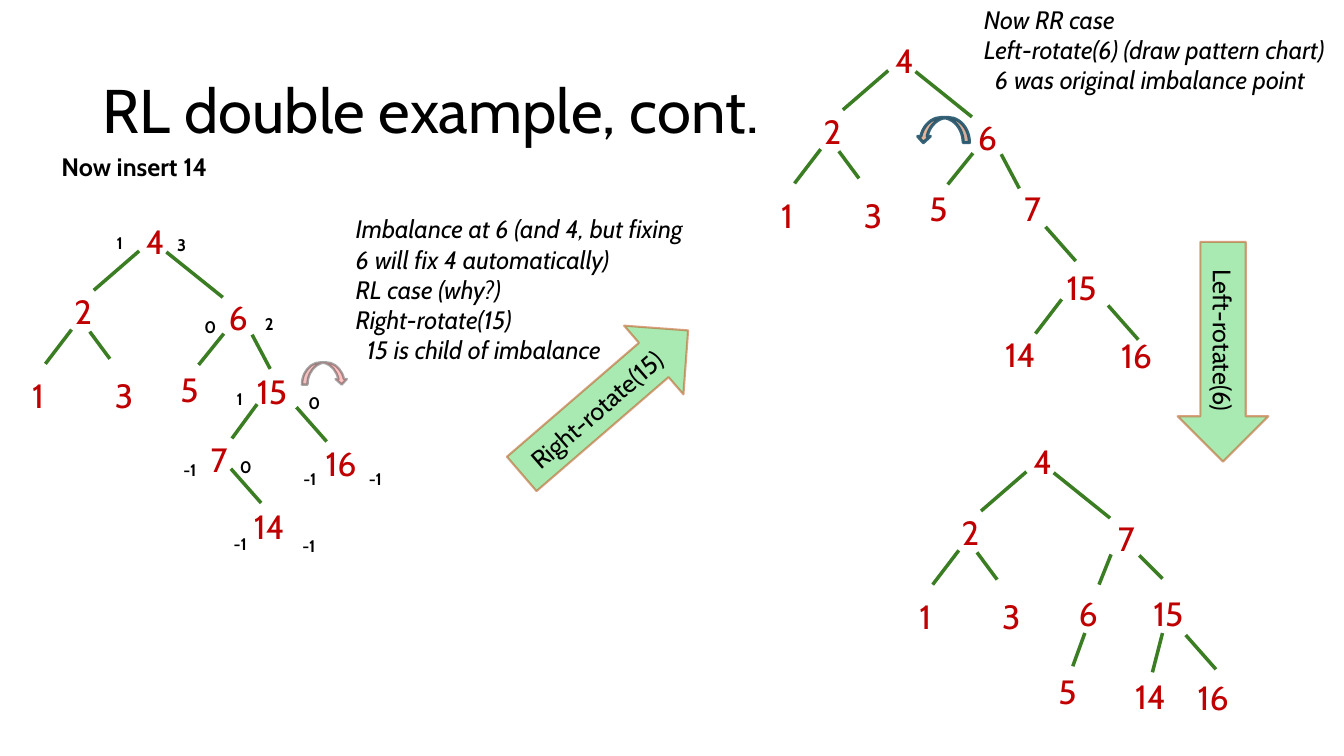
from dataclasses import dataclass

from lxml.etree import SubElement
from pptx import Presentation
from pptx.dml.color import RGBColor
from pptx.enum.shapes import MSO_CONNECTOR, MSO_SHAPE
from pptx.enum.text import MSO_ANCHOR, PP_ALIGN
from pptx.oxml.ns import qn
from pptx.util import Inches, Pt


@dataclass(frozen=True)
class Theme:
    font: str = "Cabin"
    text: str = "000000"
    node: str = "C00000"
    edge: str = "3B7D23"
    step_fill: str = "47D45A"
    step_line: str = "C04F15"
    right_turn: str = "FF0000"
    left_turn: str = "C04F15"
    left_turn_line: str = "104862"
    title_size: int = 44
    node_size: int = 24
    body_size: int = 18
    balance_size: int = 12


THEME = Theme()

TOP_NODES = [("4", 0, 0), ("2", -0.71, 0.7), ("1", -1.13, 1.53), ("3", -0.31, 1.53)]
TOP_EDGES = [
    (0.03, 0.35, -0.42, 0.74), (0.86, 0.81, 0.3, 0.36),
    (-0.64, 1.13, -0.9, 1.47), (-0.46, 1.15, -0.26, 1.42),
]
SIX_NODES = [("6", 0.82, 0.76), ("5", 0.34, 1.47)]
SIX_EDGES = [(0.87, 1.17, 0.62, 1.48), (1.15, 1.18, 1.33, 1.52)]

INSERTED_NODES = TOP_NODES + SIX_NODES + [
    ("15", 1.1, 1.49), ("7", 0.64, 2.17), ("16", 1.78, 2.2), ("14", 1.07, 2.83),
]
INSERTED_EDGES = TOP_EDGES + SIX_EDGES + [
    (1.2, 1.87, 0.95, 2.21), (1.59, 1.9, 1.89, 2.24), (0.94, 2.51, 1.24, 2.85),
]
RIGHT_ROTATED_NODES = TOP_NODES + SIX_NODES + [
    ("7", 1.28, 1.47), ("15", 1.7, 2.25), ("14", 1.09, 2.91), ("16", 2.24, 2.92),
]
RIGHT_ROTATED_EDGES = TOP_EDGES + SIX_EDGES + [
    (1.59, 1.9, 1.89, 2.24), (1.75, 2.62, 1.49, 2.96), (2.21, 2.68, 2.51, 3.02),
]
BALANCED_NODES = TOP_NODES + [
    ("7", 0.84, 0.76), ("6", 0.45, 1.5), ("15", 1.19, 1.5),
    ("5", 0.25, 2.28), ("14", 1.01, 2.33), ("16", 1.63, 2.34),
]
BALANCED_EDGES = TOP_EDGES + [
    (0.87, 1.17, 0.75, 1.47), (1.15, 1.18, 1.38, 1.41), (0.61, 1.95, 0.49, 2.28),
    (1.38, 1.95, 1.28, 2.34), (1.61, 1.97, 1.91, 2.31),
]
BALANCE_FACTORS = [
    ("1", 1.06, 2.26), ("3", 1.66, 2.28), ("0", 1.93, 3.09), ("2", 2.53, 3.06),
    ("1", 2.25, 3.81), ("0", 2.96, 3.85), ("-1", 1.72, 4.51), ("0", 2.28, 4.48),
    ("-1", 2.91, 4.6), ("-1", 3.56, 4.6), ("-1", 2.22, 5.25), ("-1", 2.9, 5.27),
]


def add_span(para, text, size, color=THEME.text, bold=False, italic=False):
    span = para.add_run()
    span.text = text
    span.font.name = THEME.font
    span.font.size = Pt(size)
    span.font.bold = bold
    span.font.italic = italic
    span.font.color.rgb = RGBColor.from_string(color)


def add_box(page, left, top, width, height):
    box = page.shapes.add_textbox(Inches(left), Inches(top), Inches(width), Inches(height))
    box.text_frame.word_wrap = True
    return box.text_frame


def add_label(page, text, left, top, width, height, size, **style):
    frame = add_box(page, left, top, width, height)
    add_span(frame.paragraphs[0], text, size, **style)
    return frame


def add_note(page, lines, left, top, width, height):
    frame = add_box(page, left, top, width, height)
    for index, line in enumerate(lines):
        para = frame.add_paragraph() if index else frame.paragraphs[0]
        if index == len(lines) - 1:
            properties = para._p.get_or_add_pPr()
            properties.set("marL", str(Inches(0.11)))
            properties.set("indent", "0")
        add_span(para, line, THEME.body_size, italic=True)


def add_edge(page, start_x, start_y, end_x, end_y):
    edge = page.shapes.add_connector(
        MSO_CONNECTOR.STRAIGHT, Inches(start_x), Inches(start_y), Inches(end_x), Inches(end_y))
    edge.line.color.rgb = RGBColor.from_string(THEME.edge)
    edge.line.width = Pt(2.5)
    SubElement(edge._element.spPr, qn("a:effectLst"))


def add_tree(page, root_left, root_top, nodes, edges):
    for start_x, start_y, end_x, end_y in edges:
        add_edge(page, root_left + start_x, root_top + start_y,
                 root_left + end_x, root_top + end_y)
    for key, left, top in nodes:
        add_label(page, key, root_left + left, root_top + top,
                  0.65 if len(key) > 1 else 0.4, 0.46, THEME.node_size, color=THEME.node)


def set_paint(fill, color, opacity):
    fill.solid()
    fill.fore_color.rgb = RGBColor.from_string(color)
    paint = fill._xPr.find(qn("a:solidFill")).find(qn("a:srgbClr"))
    SubElement(paint, qn("a:alpha")).set("val", str(opacity * 1000))


def add_arrow(page, kind, place, rotation, fill, line, line_width):
    arrow = page.shapes.add_shape(kind, *[Inches(length) for length in place])
    arrow.rotation = rotation
    arrow.shadow.inherit = False
    set_paint(arrow.fill, *fill)
    set_paint(arrow.line.fill, *line)
    arrow.line.width = Pt(line_width)
    return arrow


def add_step(page, text, left, top, rotation):
    arrow = add_arrow(page, MSO_SHAPE.RIGHT_ARROW, (left, top, 2.18, 0.9), rotation,
                      (THEME.step_fill, 47), (THEME.step_line, 53), 1.5)
    arrow.text_frame.vertical_anchor = MSO_ANCHOR.MIDDLE
    para = arrow.text_frame.paragraphs[0]
    para.alignment = PP_ALIGN.CENTER
    add_span(para, text, THEME.body_size)


def main():
    deck = Presentation()
    deck.slide_width = Inches(13.33)
    deck.slide_height = Inches(7.5)
    page = deck.slides.add_slide(deck.slide_layouts[6])

    title = add_label(page, "RL double example, cont.", 0.92, 0.4, 11.5, 1.45, THEME.title_size)
    title.vertical_anchor = MSO_ANCHOR.MIDDLE
    title.paragraphs[0].line_spacing = 0.9
    add_label(page, "Now insert 14", 0.51, 1.45, 3.27, 0.4, THEME.body_size, bold=True)

    for factor, left, top in BALANCE_FACTORS:
        add_label(page, factor, left, top, 0.46, 0.3, THEME.balance_size, bold=True)

    add_tree(page, 1.35, 2.14, INSERTED_NODES, INSERTED_EDGES)
    add_tree(page, 8.78, 0.35, RIGHT_ROTATED_NODES, RIGHT_ROTATED_EDGES)
    add_tree(page, 10.15, 4.33, BALANCED_NODES, BALANCED_EDGES)

    add_note(page, [
        "Imbalance at 6 (and 4, but fixing 6 will fix 4 automatically)",
        "RL case (why?)",
        "Right-rotate(15)",
        "15 is child of imbalance",
    ], 3.43, 2.07, 3.51, 1.92)
    add_note(page, [
        "Now RR case",
        "Left-rotate(6) (draw pattern chart)",
        "6 was original imbalance point",
    ], 9.66, -0.01, 3.69, 1.31)

    add_step(page, "Right-rotate(15)", 4.91, 3.54, 319.2)
    add_step(page, "Left-rotate(6)", 11.04, 3.04, 90)
    add_arrow(page, MSO_SHAPE.CURVED_LEFT_ARROW, (3.11, 3.48, 0.22, 0.45), 270,
              (THEME.right_turn, 24), (THEME.text, 35), 1.75)
    add_arrow(page, MSO_SHAPE.CURVED_RIGHT_ARROW, (9.23, 1.03, 0.25, 0.52), 90,
              (THEME.left_turn, 42), (THEME.left_turn_line, 84), 2.25)

    deck.save("out.pptx")


if __name__ == "__main__":
    main()
